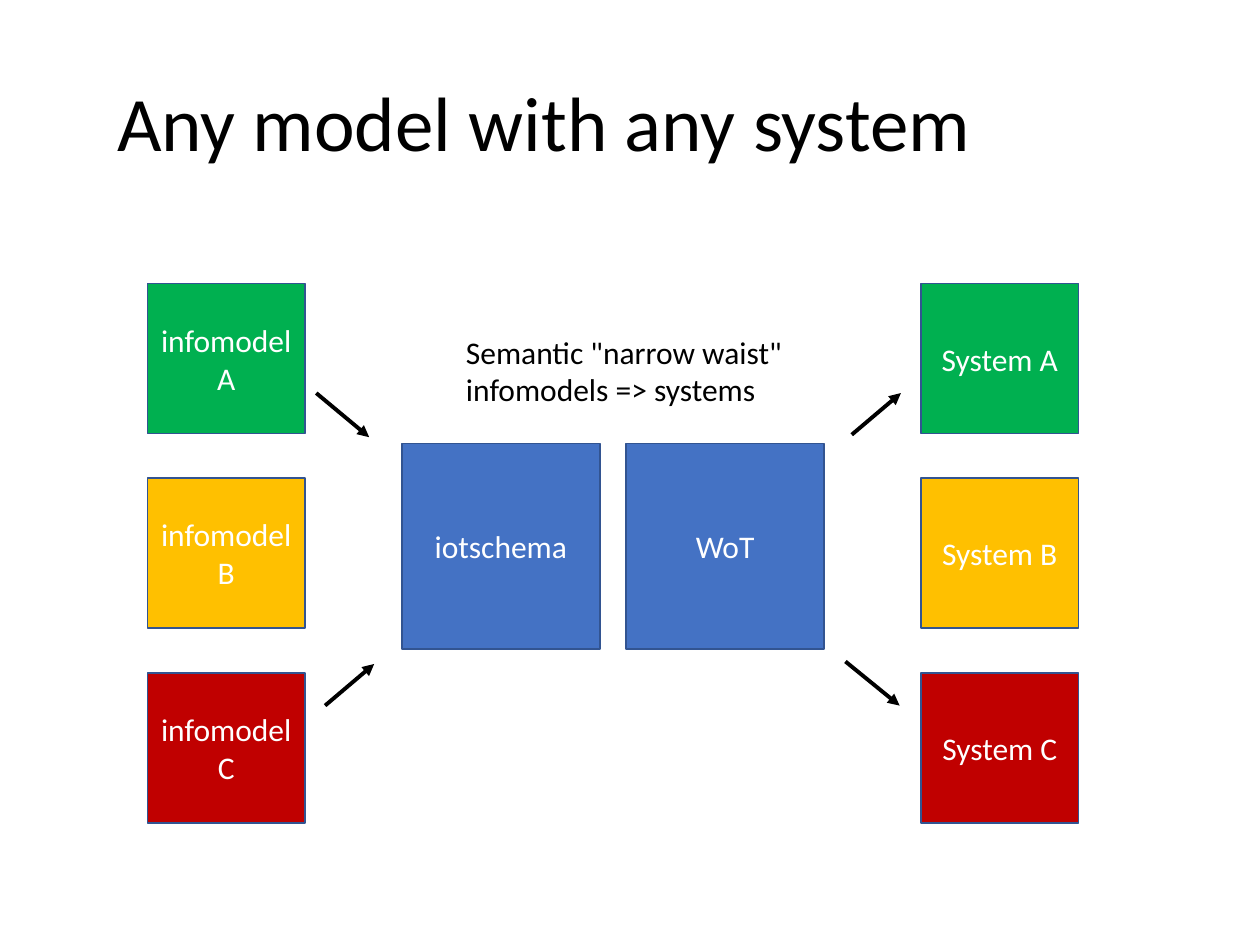
from lxml.etree import SubElement
from pptx import Presentation
from pptx.dml.color import RGBColor
from pptx.enum.shapes import MSO_CONNECTOR, MSO_SHAPE
from pptx.enum.text import MSO_ANCHOR, MSO_AUTO_SIZE, PP_ALIGN
from pptx.oxml.ns import qn
from pptx.util import Inches, Pt

FONT = "Calibri"
BLACK, WHITE, BLUE, OUTLINE = "000000", "FFFFFF", "4472C4", "325491"
LEVELS = {"A": "00B050", "B": "FFC000", "C": "C00000"}


def paint(color_format, color):
    """Set a fill or font colour from a hex string."""
    color_format.rgb = RGBColor.from_string(color)


def write(paragraph, text, size, color, align=PP_ALIGN.LEFT):
    """Add one formatted run to a paragraph."""
    paragraph.alignment = align
    run = paragraph.add_run()
    run.text = text
    run.font.name = FONT
    run.font.size = Pt(size)
    paint(run.font.color, color)


def add_title(slide, text, left, top, width, height):
    """Place and format the slide title."""
    title = slide.shapes.title
    title.left, title.top = Inches(left), Inches(top)
    title.width, title.height = Inches(width), Inches(height)
    title.text_frame.vertical_anchor = MSO_ANCHOR.MIDDLE
    heading = title.text_frame.paragraphs[0]
    heading.line_spacing = 0.9
    write(heading, text, 44, BLACK)


def add_block(slide, label, color, left, top, width, height):
    """Draw a filled rectangle with a centred label."""
    block = slide.shapes.add_shape(
        MSO_SHAPE.RECTANGLE, Inches(left), Inches(top), Inches(width), Inches(height))
    block.shadow.inherit = False
    block.fill.solid()
    paint(block.fill.fore_color, color)
    paint(block.line.color, OUTLINE)
    block.line.width = Pt(1)
    block.text_frame.word_wrap = True
    block.text_frame.vertical_anchor = MSO_ANCHOR.MIDDLE
    write(block.text_frame.paragraphs[0], label, 18, WHITE, PP_ALIGN.CENTER)


def add_column(slide, name, left, top, width, height):
    """Stack one block per level, evenly spread over the box."""
    block_height = 1.19
    pitch = (height - block_height) / (len(LEVELS) - 1)
    for row, (level, color) in enumerate(LEVELS.items()):
        add_block(slide, f"{name} {level}", color, left, top + row * pitch,
                  width, block_height)


def add_waist(slide, left, top, width, height):
    """Draw the two central blocks side by side."""
    gap = 0.21
    block_width = (width - gap) / 2
    for column, label in enumerate(("iotschema", "WoT")):
        add_block(slide, label, BLUE, left + column * (block_width + gap), top,
                  block_width, height)


def add_caption(slide, lines, left, top, width, height):
    """Write the caption lines above the central blocks."""
    caption = slide.shapes.add_textbox(
        Inches(left), Inches(top), Inches(width), Inches(height)).text_frame
    caption.word_wrap = False
    caption.auto_size = MSO_AUTO_SIZE.SHAPE_TO_FIT_TEXT
    for index, line in enumerate(lines):
        paragraph = caption.add_paragraph() if index else caption.paragraphs[0]
        write(paragraph, line, 18, BLACK)


def add_arrow(slide, start_x, start_y, end_x, end_y):
    """Draw a straight arrow from start to end."""
    arrow = slide.shapes.add_connector(
        MSO_CONNECTOR.STRAIGHT, Inches(start_x), Inches(start_y),
        Inches(end_x), Inches(end_y))
    paint(arrow.line.color, BLACK)
    arrow.line.width = Pt(2.25)
    SubElement(arrow.line._get_or_add_ln(), qn("a:tailEnd"), type="triangle")
    SubElement(arrow._element.spPr, qn("a:effectLst"))


def build_slide(deck):
    """Compose the slide from its regions."""
    slide = deck.slides.add_slide(deck.slide_layouts[5])
    add_title(slide, "Any model with any system", 0.83, 0.28, 8.62, 1.45)
    add_waist(slide, 3.19, 3.52, 3.35, 1.63)
    for name, left in (("infomodel", 1.17), ("System", 7.31)):
        add_column(slide, name, left, 2.25, 1.25, 4.28)
    add_caption(slide, ('Semantic "narrow waist"', "infomodels => systems"),
                3.6, 2.59, 2.74, 0.71)
    for ends in ((2.51, 3.12, 2.93, 3.47), (6.71, 5.25, 7.14, 5.6),
                 (2.58, 5.6, 2.97, 5.27), (6.76, 3.45, 7.15, 3.12)):
        add_arrow(slide, *ends)


deck = Presentation()
deck.slide_width, deck.slide_height = Inches(10), Inches(7.5)
build_slide(deck)
deck.save("out.pptx")
